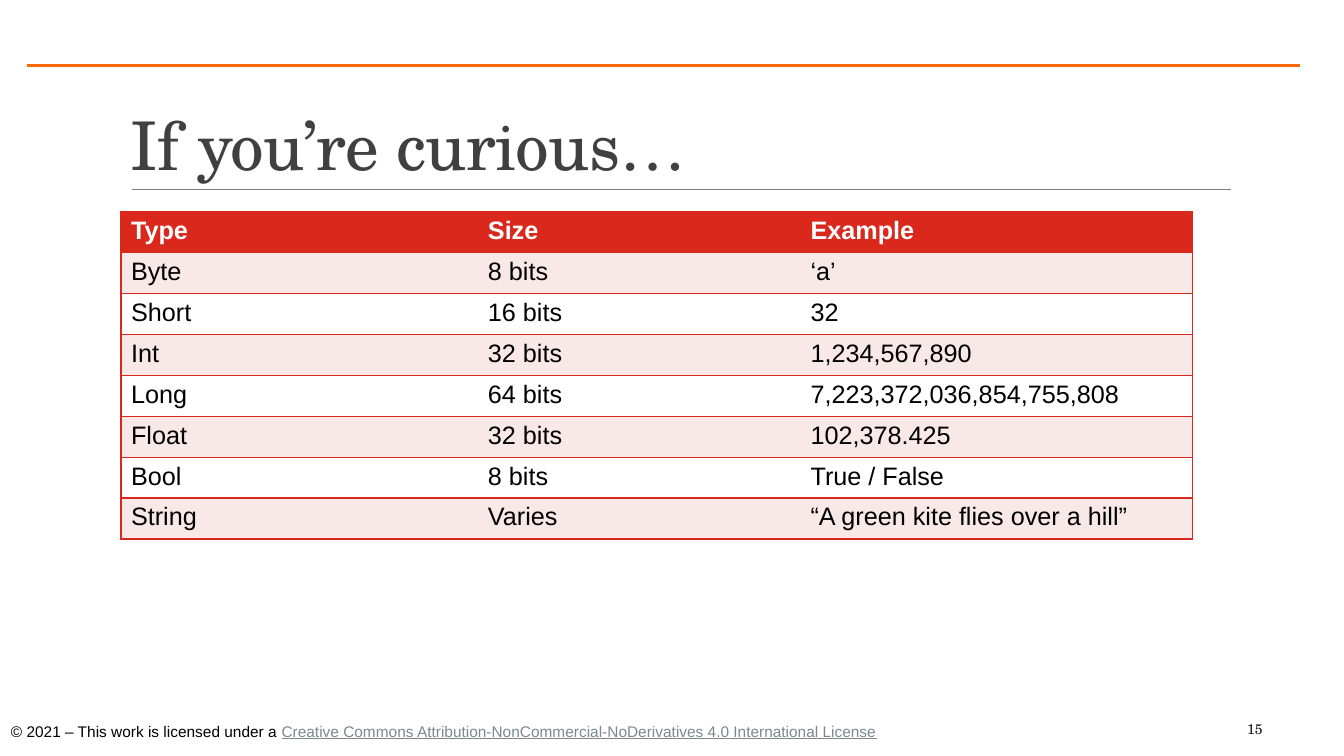
"""Build the slide that lists data types with their sizes and examples."""
from dataclasses import dataclass

from lxml import etree
from pptx import Presentation
from pptx.dml.color import RGBColor
from pptx.enum.shapes import MSO_CONNECTOR
from pptx.enum.text import MSO_ANCHOR
from pptx.oxml.ns import qn
from pptx.slide import Slide
from pptx.table import _Cell
from pptx.text.text import Font, _Paragraph
from pptx.util import Inches, Pt

STRAIGHT = MSO_CONNECTOR.STRAIGHT
TOP, MIDDLE, BOTTOM = MSO_ANCHOR.TOP, MSO_ANCHOR.MIDDLE, MSO_ANCHOR.BOTTOM

SERIF, SANS = "TeX Gyre Schola", "Arial"
RED, PINK, WHITE, BLACK = "DA291C", "F8E8E8", "FFFFFF", "000000"

COLUMN_WIDTHS = (3.54, 3.2, 3.89)
TABLE_HEIGHT = 3.25
TYPE_ROWS = (
    ("Type", "Size", "Example"),
    ("Byte", "8 bits", "‘a’"),
    ("Short", "16 bits", "32"),
    ("Int", "32 bits", "1,234,567,890"),
    ("Long", "64 bits", "7,223,372,036,854,755,808"),
    ("Float", "32 bits", "102,378.425"),
    ("Bool", "8 bits", "True / False"),
    ("String", "Varies", "“A green kite flies over a hill”"),
)


@dataclass(frozen=True)
class Rule:
    left: float
    right: float
    top: float
    color: str
    weight: float


@dataclass(frozen=True)
class Label:
    text: str
    left: float
    top: float
    width: float
    height: float
    font_name: str
    size: float
    color: str
    anchor: MSO_ANCHOR = TOP
    wrap: bool = True


RULES = (
    Rule(1.31, 12.21, 1.88, "808080", 0.5),
    Rule(0.27, 12.89, 0.65, "F76902", 1.5),
)
TITLE = Label("If you’re curious…", 1.2, 1.05, 11, 0.83, SERIF, 48, "404040", BOTTOM)
LICENSE = Label("© 2021 – This work is licensed under a ",
                0.01, 7.11, 8.85, 0.29, SANS, 11, BLACK, wrap=False)
LICENSE_NAME = ("Creative Commons Attribution-NonCommercial-NoDerivatives 4.0 "
                "International License")
PAGE_NUMBER = Label("15", 12.27, 7.08, 1.06, 0.3, SERIF, 10, "0D0D0D", MIDDLE)


def rgb(color: str) -> RGBColor:
    """Turn a hex string into a colour."""
    return RGBColor.from_string(color)


def set_font(font: Font, name: str, size: float, color: str, bold: bool = False) -> None:
    """Set the typeface, size, colour and weight of a font."""
    font.name, font.size, font.bold = name, Pt(size), bold
    font.color.rgb = rgb(color)


def draw_rule(slide: Slide, rule: Rule) -> None:
    """Draw a horizontal line without a shadow."""
    connector = slide.shapes.add_connector(
        STRAIGHT, Inches(rule.left), Inches(rule.top), Inches(rule.right), Inches(rule.top))
    connector.line.color.rgb = rgb(rule.color)
    connector.line.width = Pt(rule.weight)
    etree.SubElement(connector._element.spPr, qn("a:effectLst"))


def draw_label(slide: Slide, label: Label) -> _Paragraph:
    """Draw a text box and return its paragraph."""
    shape = slide.shapes.add_textbox(
        Inches(label.left), Inches(label.top), Inches(label.width), Inches(label.height))
    frame = shape.text_frame
    frame.word_wrap = label.wrap
    frame.vertical_anchor = label.anchor
    paragraph = frame.paragraphs[0]
    paragraph.add_run().text = label.text
    set_font(paragraph.font, label.font_name, label.size, label.color)
    return paragraph


def set_borders(cell: _Cell, visible: dict[str, bool]) -> None:
    """Give each side of a cell a red line or none."""
    properties = cell._tc.get_or_add_tcPr()
    for side, shown in visible.items():
        line = etree.SubElement(properties, qn(f"a:ln{side}"), w=str(Pt(1)))
        if shown:
            fill = etree.SubElement(line, qn("a:solidFill"))
            etree.SubElement(fill, qn("a:srgbClr"), val=RED)
        else:
            etree.SubElement(line, qn("a:noFill"))


def draw_type_table(slide: Slide) -> None:
    """Draw the table of types with a red header and banded rows."""
    row_count, column_count = len(TYPE_ROWS), len(COLUMN_WIDTHS)
    table = slide.shapes.add_table(
        row_count, column_count, Inches(1.2), Inches(2.1),
        Inches(sum(COLUMN_WIDTHS)), Inches(TABLE_HEIGHT)).table
    table.first_row = table.horz_banding = False
    for column, width in zip(table.columns, COLUMN_WIDTHS):
        column.width = Inches(width)
    for row_index, texts in enumerate(TYPE_ROWS):
        header = row_index == 0
        fill = RED if header else PINK if row_index % 2 else WHITE
        for column_index, text in enumerate(texts):
            cell = table.cell(row_index, column_index)
            set_borders(cell, {"L": column_index == 0, "R": column_index == column_count - 1,
                               "T": True, "B": True})
            cell.fill.solid()
            cell.fill.fore_color.rgb = rgb(fill)
            cell.text = text
            set_font(cell.text_frame.paragraphs[0].font, SANS, 18,
                     WHITE if header else BLACK, header)


def main() -> None:
    """Build and save the presentation."""
    presentation = Presentation()
    presentation.slide_width, presentation.slide_height = Inches(13.33), Inches(7.5)
    slide = presentation.slides.add_slide(presentation.slide_layouts[6])
    for rule in RULES:
        draw_rule(slide, rule)

    title = draw_label(slide, TITLE)
    title.line_spacing = 0.85
    title.runs[0]._r.get_or_add_rPr().set("spc", "-50")

    draw_type_table(slide)

    license_run = draw_label(slide, LICENSE).add_run()
    license_run.text = LICENSE_NAME
    license_run.font.color.rgb = rgb("7C878E")
    license_run.font.underline = True

    draw_label(slide, PAGE_NUMBER)
    presentation.save("out.pptx")


if __name__ == "__main__":
    main()
